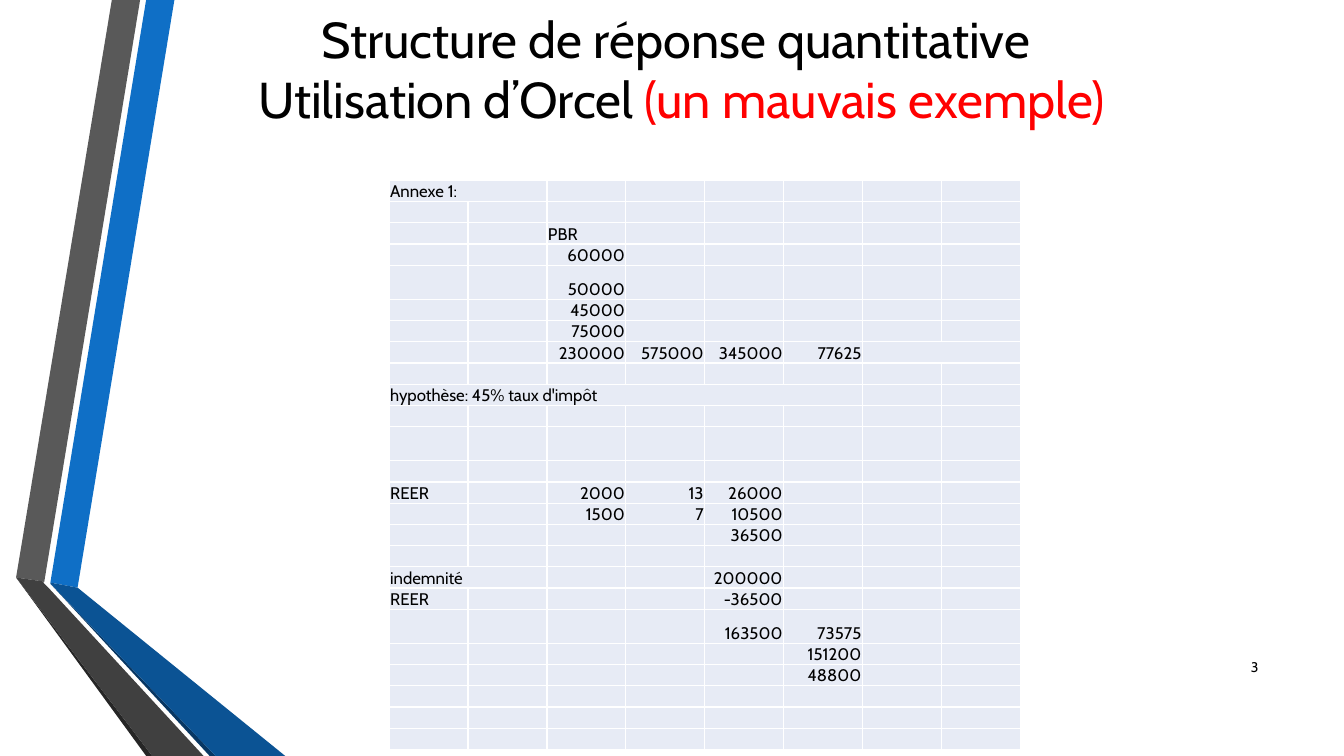
from lxml.etree import SubElement
from pptx import Presentation
from pptx.dml.color import RGBColor
from pptx.enum.text import MSO_ANCHOR, PP_ALIGN
from pptx.oxml.ns import qn
from pptx.util import Inches, Pt

COLORS = {
    "black": "000000", "red": "FF0000", "white": "FFFFFF", "cell": "E7EBF5",
    "blue": "0F6FC6", "navy": "083763", "deep": "0B5394",
    "gray": "595959", "coal": "262626", "dark": "404040",
}

RIBBONS = [
    ("blue", [(0.5, 5.78), (0.77, 5.83), (1.73, 0), (1.45, 0)]),
    ("gray", [(1.39, 0), (1.11, 0), (0.16, 5.73), (0.44, 5.77)]),
    ("coal", [(0.16, 5.73), (1.45, 7.5), (1.51, 7.5)]),
    ("navy", [(0.5, 5.79), (2.08, 7.5), (2.14, 7.5)]),
    ("deep", [(0.5, 5.79), (2.14, 7.5), (2.83, 7.5), (0.77, 5.83), (0.5, 5.78)]),
    ("dark", [(2.02, 7.5), (0.48, 5.83), (0.43, 5.78), (0.44, 5.77),
              (0.16, 5.73), (1.51, 7.5)]),
]

ENTRIES = {
    0: {0: "Annexe 1:"},
    2: {2: "PBR"},
    3: {2: "60000"},
    4: {2: "50000"},
    5: {2: "45000"},
    6: {2: "75000"},
    7: {2: "230000", 3: "575000", 4: "345000", 5: "77625"},
    9: {0: "hypothèse: 45% taux d'impôt"},
    13: {0: "REER", 2: "2000", 3: "13", 4: "26000"},
    14: {2: "1500", 3: "7", 4: "10500"},
    15: {4: "36500"},
    17: {0: "indemnité", 4: "200000"},
    18: {0: "REER", 4: "-36500"},
    19: {4: "163500", 5: "73575"},
    20: {5: "151200"},
    21: {5: "48800"},
}
SPANS = [(0, 0, 2), (7, 6, 2), (9, 0, 6), (17, 0, 2)]
ROWS, COLS = 25, 8
TALL = (4, 11, 19)


def rgb(name):
    return RGBColor.from_string(COLORS[name])


def write(para, text, size=12, color="black", font="Cabin", align=PP_ALIGN.LEFT):
    para.alignment = align
    for index, line in enumerate(text.split("\n")):
        if index:
            para.add_line_break()
        run = para.add_run()
        run.text = line
        run.font.size = Pt(size)
        run.font.name = font
        run.font.color.rgb = rgb(color)


class Board:
    def __init__(self, slide, fill, border):
        self.slide = slide
        self.fill = fill
        self.border = border

    def ribbon(self, color, points):
        dots = [(Inches(x), Inches(y)) for x, y in points]
        form = self.slide.shapes.build_freeform(*dots[0], scale=1.0)
        form.add_line_segments(dots[1:], close=True)
        shape = form.convert_to_shape()
        shape.shadow.inherit = False
        shape.fill.solid()
        shape.fill.fore_color.rgb = rgb(color)
        shape.line.fill.background()

    def text(self, box, pieces, **style):
        frame = self.slide.shapes.add_textbox(*map(Inches, box)).text_frame
        frame.word_wrap = True
        frame.vertical_anchor = MSO_ANCHOR.MIDDLE
        for text, color in pieces:
            write(frame.paragraphs[0], text, color=color, **style)

    def edges(self, cell):
        props = cell._tc.get_or_add_tcPr()
        for side in ("lnL", "lnR", "lnT", "lnB"):
            line = SubElement(props, qn("a:" + side), w=str(Pt(1)))
            paint = SubElement(line, qn("a:solidFill"))
            SubElement(paint, qn("a:srgbClr"), val=COLORS[self.border])

    def cell(self, cell, text):
        cell.margin_left = cell.margin_right = cell.margin_top = Inches(0.01)
        cell.margin_bottom = 0
        cell.vertical_anchor = MSO_ANCHOR.BOTTOM
        self.edges(cell)
        cell.fill.solid()
        cell.fill.fore_color.rgb = rgb(self.fill)
        para = cell.text_frame.paragraphs[0]
        if text:
            number = text.lstrip("-").isdigit()
            write(para, text, align=PP_ALIGN.RIGHT if number else PP_ALIGN.LEFT)
        else:
            SubElement(para._p, qn("a:endParaRPr"), sz="1200")

    def table(self, box, entries):
        grid = self.slide.shapes.add_table(ROWS, COLS, *map(Inches, box)).table
        grid.first_row = grid.horz_banding = False
        for col in grid.columns:
            col.width = Inches(box[2] / COLS)
        for r, row in enumerate(grid.rows):
            row.height = Inches(0.34 if r in TALL else 0.21)
            for c, cell in enumerate(row.cells):
                self.cell(cell, entries.get(r, {}).get(c, ""))
        for r, c, count in SPANS:
            grid.cell(r, c).merge(grid.cell(r, c + count - 1))


def main():
    deck = Presentation()
    deck.slide_width, deck.slide_height = Inches(13.33), Inches(7.5)
    board = Board(deck.slides.add_slide(deck.slide_layouts[6]), "cell", "white")
    for color, points in RIBBONS:
        board.ribbon(color, points)
    board.text((11.98, 6.42, 0.6, 0.4), [("3", "black")],
               size=10, align=PP_ALIGN.RIGHT)
    board.text((0.71, 0.14, 12.1, 1.08),
               [("Structure de réponse quantitative \nUtilisation d’Orcel ", "black"),
                ("(un mauvais exemple)", "red")],
               size=36, align=PP_ALIGN.CENTER)
    board.table((3.86, 1.79, 6.26, 5.61), ENTRIES)
    deck.save("out.pptx")


if __name__ == "__main__":
    main()
